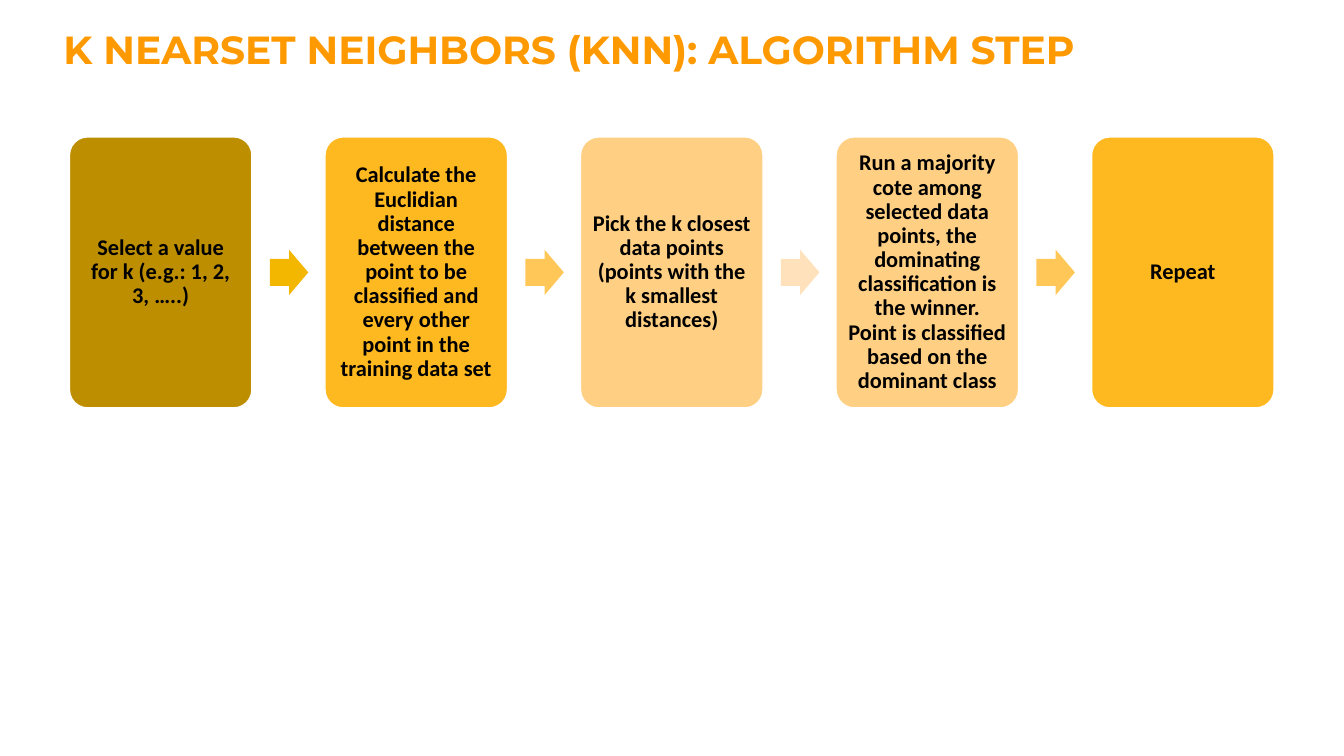
from pptx import Presentation
from pptx.dml.color import RGBColor
from pptx.enum.shapes import MSO_SHAPE
from pptx.enum.text import MSO_ANCHOR, PP_ALIGN
from pptx.util import Cm, Pt

ROUNDED = MSO_SHAPE.ROUNDED_RECTANGLE
ARROW = MSO_SHAPE.RIGHT_ARROW
MIDDLE = MSO_ANCHOR.MIDDLE
CENTER = PP_ALIGN.CENTER

STEP_LEFT, STEP_TOP, STEP_WIDTH, STEP_HEIGHT = 1.75, 3.45, 4.6, 6.83
STEP_PITCH = 6.44
ARROW_OFFSET, ARROW_WIDTH, ARROW_HEIGHT = 5.05, 0.97, 1.14
ARROW_TOP = STEP_TOP + (STEP_HEIGHT - ARROW_HEIGHT) / 2

# Text, box colour, colour of the arrow that follows
STEPS = [
    ("Select a value for k (e.g.: 1, 2, 3, …..)", "BD8E00", "F4B700"),
    ("Calculate the Euclidian distance between the point to be classified "
     "and every other point in the training data set", "FFB920", "FFC758"),
    ("Pick the k closest data points (points with the k smallest distances)",
     "FFD083", "FFE2BC"),
    ("Run a majority cote among selected data points, the dominating "
     "classification is the winner. Point is classified based on the "
     "dominant class", "FFD083", "FFC758"),
    ("Repeat", "FFB920", None),
]


def color(value):
    return RGBColor.from_string(value)


def style_text(para, font_name, size, text_color):
    for span in para.runs:
        span.font.name = font_name
        span.font.size = Pt(size)
        span.font.bold = True
        span.font.color.rgb = color(text_color)


deck = Presentation()
deck.slide_width, deck.slide_height = Cm(33.87), Cm(19.05)
page = deck.slides.add_slide(deck.slide_layouts[6])

title = page.shapes.add_textbox(Cm(1.35), Cm(0.51), Cm(28.96), Cm(1.96))
title.text_frame.word_wrap = True
title.text_frame.text = "K NEARSET NEIGHBORS (KNN): ALGORITHM STEP"
style_text(title.text_frame.paragraphs[0], "Montserrat", 28, "FF9900")

for index, (text, box_color, arrow_color) in enumerate(STEPS):
    left = STEP_LEFT + index * STEP_PITCH
    box = page.shapes.add_shape(
        ROUNDED, Cm(left), Cm(STEP_TOP), Cm(STEP_WIDTH), Cm(STEP_HEIGHT))
    box.adjustments[0] = 0.1
    box.shadow.inherit = False
    box.fill.solid()
    box.fill.fore_color.rgb = color(box_color)
    box.line.color.rgb = color("FFFFFF")
    box.line.width = Pt(1)

    frame = box.text_frame
    frame.word_wrap = True
    frame.vertical_anchor = MIDDLE
    frame.margin_left = frame.margin_right = Cm(0.17)
    frame.margin_top = frame.margin_bottom = Cm(0.17)
    frame.text = text
    para = frame.paragraphs[0]
    para.alignment = CENTER
    para.line_spacing = 0.9
    style_text(para, "Calibri", 16, "000000")

    if arrow_color:
        arrow = page.shapes.add_shape(
            ARROW, Cm(left + ARROW_OFFSET), Cm(ARROW_TOP),
            Cm(ARROW_WIDTH), Cm(ARROW_HEIGHT))
        arrow.adjustments[0] = 0.6
        arrow.adjustments[1] = 0.5
        arrow.shadow.inherit = False
        arrow.fill.solid()
        arrow.fill.fore_color.rgb = color(arrow_color)
        arrow.line.fill.background()

deck.save("out.pptx")
